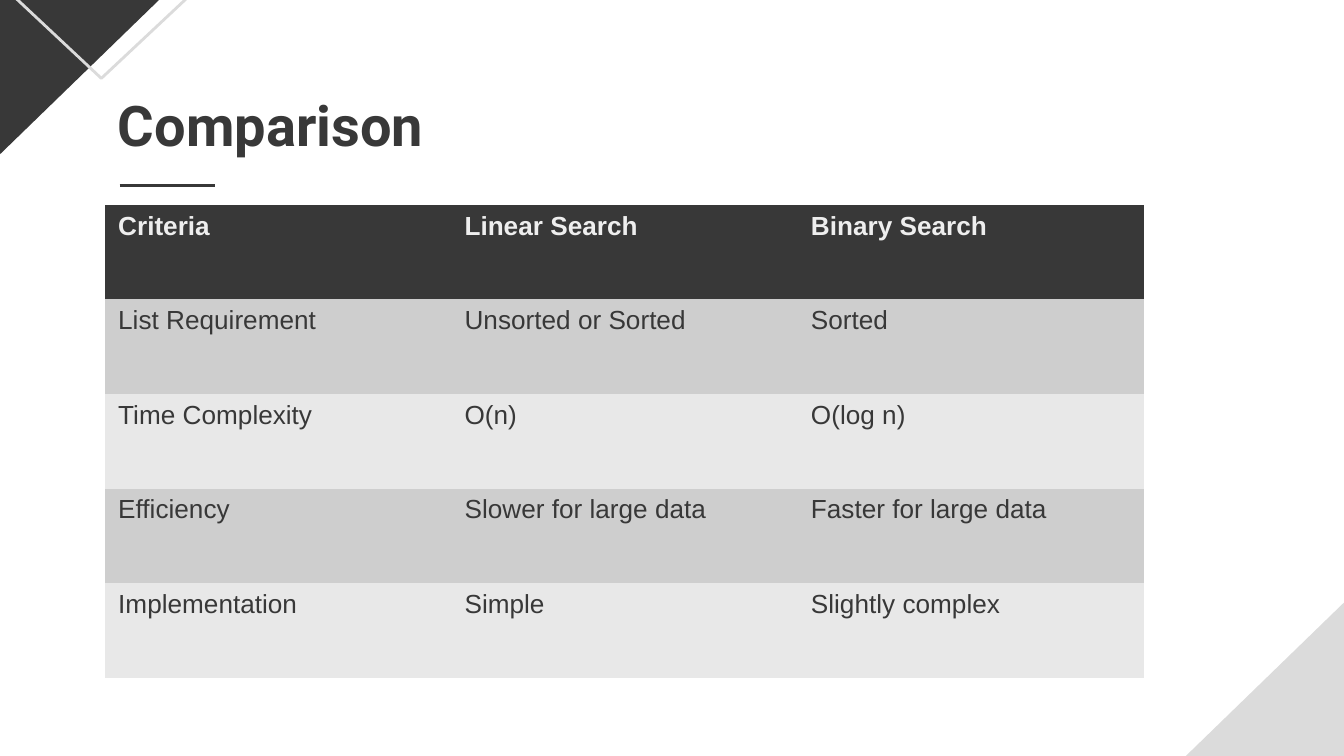
"""Build a slide comparing linear and binary search."""
from lxml import etree
from pptx import Presentation
from pptx import util as u
from pptx.dml import color
from pptx.enum import shapes, text
from pptx.oxml import ns

DARK, PALE, LIGHT = "383838", "DBDBDB", "EEEEEE"
BANDS = "CECECE", "E8E8E8"
PLAIN = "{2D5ABB26-0587-4C30-8999-92F81FD0307C}"
ROWS = [
    ("Criteria", "Linear Search", "Binary Search"),
    ("List Requirement", "Unsorted or Sorted", "Sorted"),
    ("Time Complexity", "O(n)", "O(log n)"),
    ("Efficiency", "Slower for large data", "Faster for large data"),
    ("Implementation", "Simple", "Slightly complex"),
]


def rgb(code):
    return color.RGBColor.from_string(code)


class Deck:
    def __init__(self, wide, high):
        self.show = Presentation()
        self.show.slide_width = u.Cm(wide)
        self.show.slide_height = u.Cm(high)
        self.slide = self.show.slides.add_slide(self.show.slide_layouts[5])

    def style(self, para, face, size, ink, bold):
        for run in para.runs:
            font = run.font
            font.name, font.size, font.bold = face, u.Pt(size), bold
            font.color.rgb = rgb(ink)

    def corner(self, kind, box, fill=None, line=None, turn=0, flip=False):
        shape = self.slide.shapes.add_shape(kind, *map(u.Cm, box))
        shape.shadow.inherit = False
        shape.rotation = turn
        if flip:
            shape._element.spPr.xfrm.set("flipH", "1")
        for part, ink in ((shape.fill, fill), (shape.line.fill, line)):
            if ink:
                part.solid()
                part.fore_color.rgb = rgb(ink)
            else:
                part.background()
        if line:
            shape.line.width = u.Pt(1.5)

    def title(self, words, box):
        head = self.slide.shapes.title
        head.left, head.top, head.width, head.height = map(u.Cm, box)
        frame = head.text_frame
        frame.text = words
        frame.auto_size = text.MSO_AUTO_SIZE.NONE
        frame.vertical_anchor = text.MSO_ANCHOR.TOP
        frame.margin_left = frame.margin_right = u.Cm(0.25)
        frame.margin_top = frame.margin_bottom = u.Cm(0.25)
        para = frame.paragraphs[0]
        para.alignment = text.PP_ALIGN.LEFT
        self.style(para, "Roboto", 30, DARK, True)

    def rule(self, left, right, top):
        line = self.slide.shapes.add_connector(
            shapes.MSO_CONNECTOR.STRAIGHT, *map(u.Cm, (left, top, right, top)))
        line.line.color.rgb = rgb(DARK)
        line.line.width = u.Pt(1.5)
        etree.SubElement(line._element.spPr, ns.qn("a:effectLst"))

    def table(self, rows, box):
        grid = self.slide.shapes.add_table(
            len(rows), len(rows[0]), *map(u.Cm, box)).table
        grid._tbl.tblPr.find(ns.qn("a:tableStyleId")).text = PLAIN
        for i, row in enumerate(rows):
            back = BANDS[(i - 1) % 2] if i else DARK
            for j, words in enumerate(row):
                cell = grid.cell(i, j)
                cell.fill.solid()
                cell.fill.fore_color.rgb = rgb(back)
                cell.text_frame.text = words
                self.style(cell.text_frame.paragraphs[0], "Arial", 14,
                           DARK if i else LIGHT, i == 0)


def main():
    deck = Deck(25.4, 14.29)
    kind = shapes.MSO_SHAPE
    deck.corner(kind.RIGHT_TRIANGLE, (20.6, 6.88, 9.45, 9.17), PALE, flip=True)
    deck.corner(kind.RIGHT_TRIANGLE, (-2.57, -3.76, 9.45, 9.17), DARK,
                turn=180, flip=True)
    deck.corner(kind.ISOSCELES_TRIANGLE, (-5.54, -5.51, 14.91, 6.99),
                line=PALE, turn=180)
    deck.title("Comparison", (1.98, 1.47, 21.41, 1.47))
    deck.rule(2.26, 4.06, 3.5)
    deck.table(ROWS, (1.98, 3.87, 19.64, 8.94))
    deck.show.save("out.pptx")


if __name__ == "__main__":
    main()
